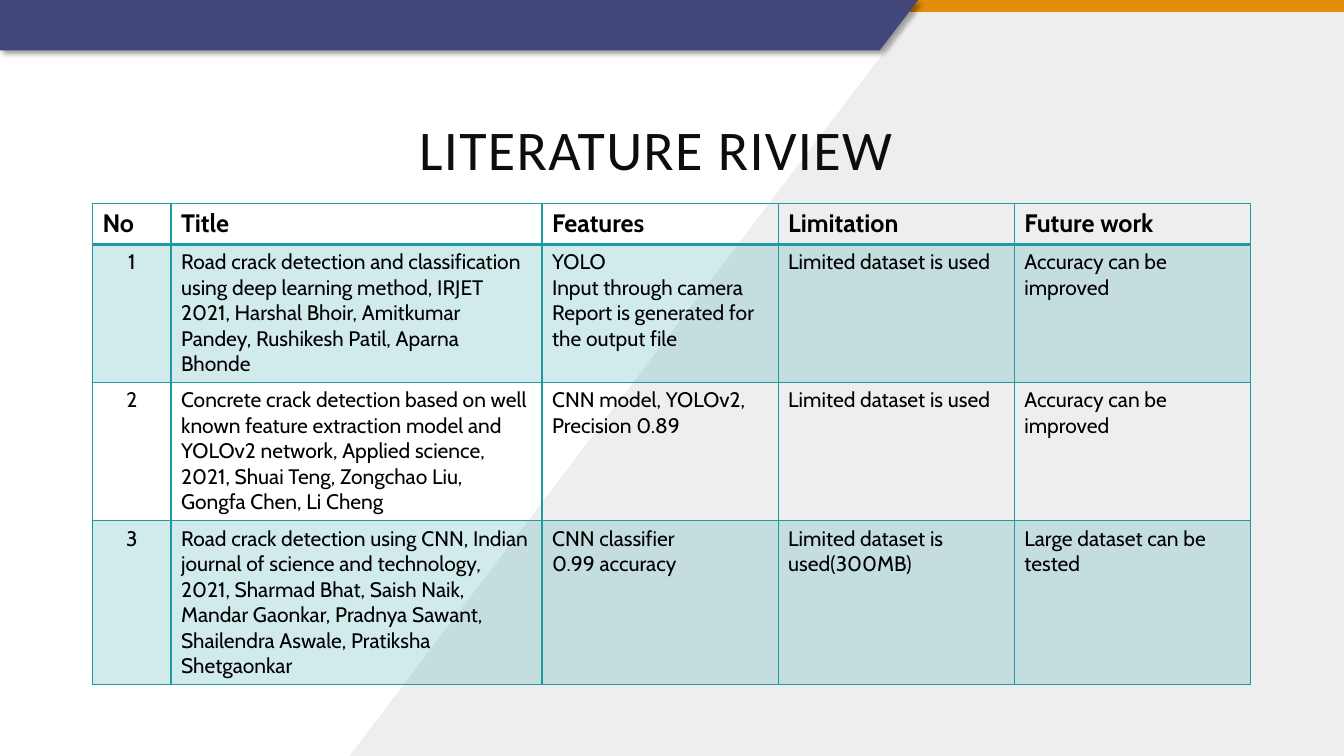
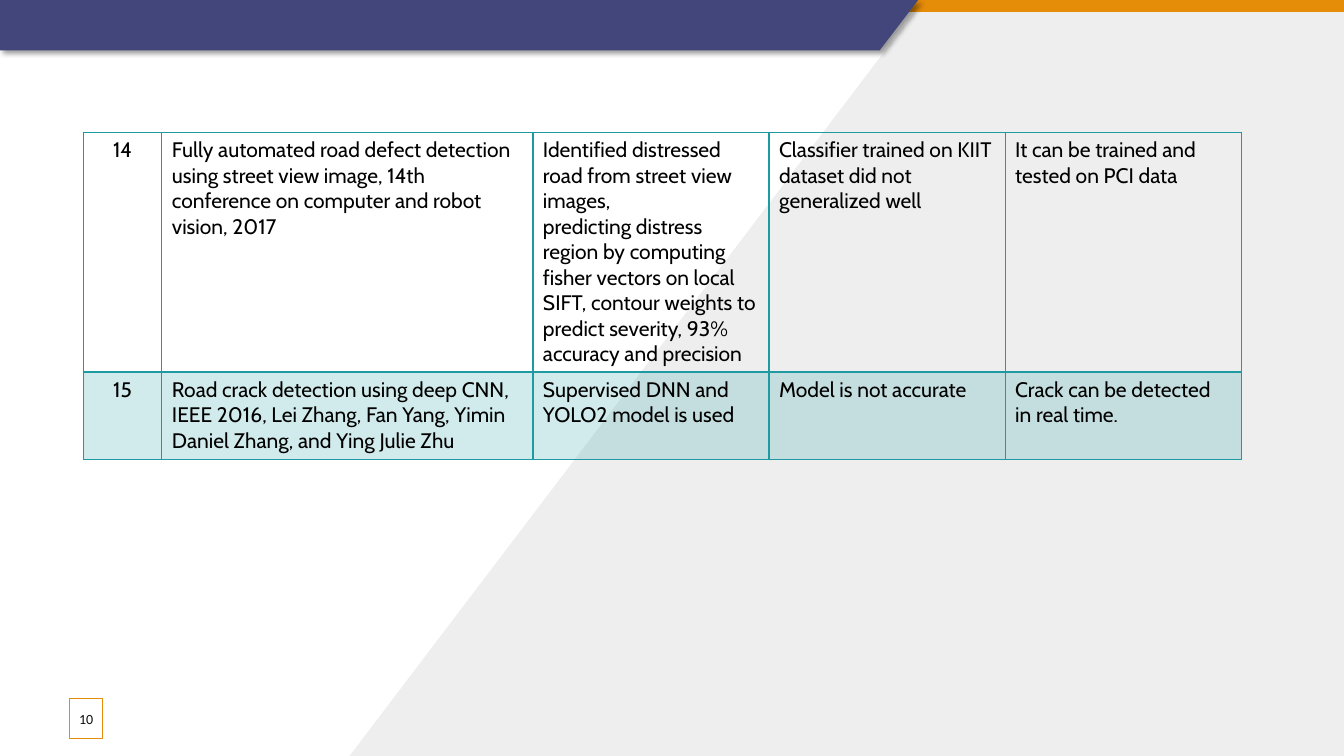
"""Build two literature review slides with a shared diagonal backdrop."""
from dataclasses import dataclass
from typing import Any

from lxml import etree
from pptx import Presentation
from pptx import util as u
from pptx.dml.color import RGBColor
from pptx.enum import shapes, text
from pptx.oxml import ns

COLOURS = {
    "paper": "FFFFFF",
    "diagonal": "EEEEEE",
    "strip": "E58C09",
    "band": "43467B",
    "teal": "1D9BA1",
    "ink": "0D0D0D",
    "black": "000000",
}
SLIDE_WIDTH, SLIDE_HEIGHT = 33.87, 19.05
COLUMN_WIDTHS = (1.98, 9.35, 5.95, 5.95, 5.95)

TITLE_FONT = {"name": "Calibri", "size": u.Pt(40), "bold": False}
NUMBER_FONT = {"name": "Calibri", "size": u.Pt(10), "bold": False}
HEADER_FONT = {"name": "Cabin", "size": u.Pt(18), "bold": True}
BODY_FONT = {"name": "Cabin", "size": u.Pt(15), "bold": False}
TITLE_FRAME = {"word_wrap": True, "auto_size": text.MSO_AUTO_SIZE.NONE,
               "vertical_anchor": text.MSO_ANCHOR.MIDDLE}
NUMBER_FRAME = {"word_wrap": True, "vertical_anchor": text.MSO_ANCHOR.MIDDLE,
                "margin_left": 0, "margin_right": 0,
                "margin_top": u.Cm(0.13), "margin_bottom": u.Cm(0.13)}


@dataclass(frozen=True)
class Panel:
    colour: str
    points: tuple[tuple[float, float], ...]
    shadow: bool = False


@dataclass(frozen=True)
class ReviewTable:
    left: float
    top: float
    row_heights: tuple[float, ...]
    rows: tuple[tuple[str, ...], ...]
    has_header: bool


PANELS = (
    Panel("diagonal", ((23.14, 0), (SLIDE_WIDTH, 0), (SLIDE_WIDTH, SLIDE_HEIGHT),
                       (8.81, SLIDE_HEIGHT), (23.14, 0.18))),
    Panel("strip", ((0, 0), (SLIDE_WIDTH, 0), (SLIDE_WIDTH, 0.3), (0, 0.3))),
    Panel("band", ((0, 0), (23.14, 0), (22.17, 1.27), (0, 1.27)), shadow=True),
)

FIRST_PAPERS = ReviewTable(2.33, 5.13, (1.03, 3.48, 3.48, 4.13), (
    ("No", "Title", "Features", "Limitation", "Future work"),
    ("1",
     "Road crack detection and classification using deep learning method, "
     "IRJET 2021, Harshal Bhoir, Amitkumar Pandey, Rushikesh Patil, Aparna Bhonde",
     "YOLO\nInput through camera\nReport is generated for the output file",
     "Limited dataset is used",
     "Accuracy can be improved"),
    ("2",
     "Concrete crack detection based on well known feature extraction model and "
     "YOLOv2 network, Applied science, 2021, Shuai Teng, Zongchao Liu, "
     "Gongfa Chen, Li Cheng",
     "CNN model, YOLOv2, Precision 0.89",
     "Limited dataset is used",
     "Accuracy can be improved"),
    ("3",
     "Road crack detection using CNN, Indian journal of science and technology, "
     "2021, Sharmad Bhat, Saish Naik, Mandar Gaonkar, Pradnya Sawant, "
     "Shailendra Aswale, Pratiksha Shetgaonkar",
     "CNN classifier\n0.99 accuracy",
     "Limited dataset is used(300MB)",
     "Large dataset can be tested"),
), has_header=True)

LAST_PAPERS = ReviewTable(2.1, 3.33, (6.02, 2.2), (
    ("14",
     "Fully automated road defect detection using street view image, "
     "14th conference on computer and robot vision, 2017",
     "Identified distressed road from street view images,\n"
     "predicting distress region by computing fisher vectors on local SIFT, "
     "contour weights to predict severity, 93% accuracy and precision",
     "Classifier trained on KIIT dataset did not generalized well",
     "It can be trained and tested on PCI data"),
    ("15",
     "Road crack detection using deep CNN,\n"
     "IEEE 2016, Lei Zhang, Fan Yang, Yimin Daniel Zhang, and Ying Julie Zhu",
     "Supervised DNN and YOLO2 model is used",
     "Model is not accurate",
     "Crack can be detected in real time."),
), has_header=False)


def rgb(name: str) -> RGBColor:
    return RGBColor.from_string(COLOURS[name])


def apply(target: Any, values: dict[str, Any]) -> None:
    for name, value in values.items():
        setattr(target, name, value)


def add_child(parent: Any, tag: str, **attributes: Any) -> Any:
    values = {name: str(value) for name, value in attributes.items()}
    return etree.SubElement(parent, ns.qn(tag), values)


def paint(fill: Any, colour: str) -> None:
    fill.solid()
    fill.fore_color.rgb = rgb(colour)


def set_alpha(properties: Any, percent: int) -> None:
    colour = properties.find(ns.qn("a:solidFill")).find(ns.qn("a:srgbClr"))
    add_child(colour, "a:alpha", val=percent * 1000)


def format_text(frame: Any, font: dict[str, Any], colour: str, alignment: Any) -> None:
    for paragraph in frame.paragraphs:
        paragraph.alignment = alignment
        for run in paragraph.runs:
            apply(run.font, font)
            run.font.color.rgb = rgb(colour)


def add_panel(slide: Any, panel: Panel) -> Any:
    points = [(u.Cm(x), u.Cm(y)) for x, y in panel.points]
    builder = slide.shapes.build_freeform(*points[0])
    builder.add_line_segments(points[1:], close=True)
    shape = builder.convert_to_shape()
    shape.shadow.inherit = False
    paint(shape.fill, panel.colour)
    shape.line.fill.background()
    if panel.shadow:
        effects = shape.element.spPr.find(ns.qn("a:effectLst"))
        shadow = add_child(effects, "a:outerShdw", blurRad=u.Pt(4), dist=u.Pt(3),
                           dir=45 * 60000, algn="tl", rotWithShape=0)
        colour = add_child(shadow, "a:srgbClr", val=COLOURS["black"])
        add_child(colour, "a:alpha", val=40000)
    return shape


def move_panels_to_master(presentation: Any, slide: Any) -> None:
    tree = presentation.slide_master.shapes.element
    for index, panel in enumerate(PANELS):
        element = add_panel(slide, panel).element
        element.nvSpPr.cNvPr.set("id", str(100 + index))
        tree.insert(2 + index, element)


def add_title(slide: Any, wording: str) -> None:
    title = slide.shapes.title
    apply(title, {"left": u.Cm(1.52), "top": u.Cm(2.74),
                  "width": u.Cm(30.02), "height": u.Cm(1.96)})
    title.text_frame.text = wording
    apply(title.text_frame, TITLE_FRAME)
    format_text(title.text_frame, TITLE_FONT, "ink", text.PP_ALIGN.CENTER)
    for run in title.text_frame.paragraphs[0].runs:
        run.font._element.set("spc", "100")


def add_borders(properties: Any, bottom_width: float) -> None:
    for side, width in (("L", 1), ("R", 1), ("T", 1), ("B", bottom_width)):
        line = add_child(properties, f"a:ln{side}", w=u.Pt(width))
        add_child(add_child(line, "a:solidFill"), "a:srgbClr", val=COLOURS["teal"])


def add_review_table(slide: Any, review: ReviewTable) -> None:
    frame = slide.shapes.add_table(
        len(review.rows), len(COLUMN_WIDTHS), u.Cm(review.left), u.Cm(review.top),
        u.Cm(sum(COLUMN_WIDTHS)), u.Cm(sum(review.row_heights)))
    table = frame.table
    apply(table, {"first_row": review.has_header, "horz_banding": False})
    for column, width in zip(table.columns, COLUMN_WIDTHS):
        column.width = u.Cm(width)
    for row_index, (height, wordings) in enumerate(zip(review.row_heights, review.rows)):
        table.rows[row_index].height = u.Cm(height)
        is_header = review.has_header and row_index == 0
        for column_index, wording in enumerate(wordings):
            cell = table.cell(row_index, column_index)
            cell.text = wording
            centred = column_index == 0 and not is_header
            format_text(cell.text_frame, HEADER_FONT if is_header else BODY_FONT, "black",
                        text.PP_ALIGN.CENTER if centred else text.PP_ALIGN.LEFT)
            properties = cell._tc.get_or_add_tcPr()
            add_borders(properties, 2 if row_index == 0 else 1)
            if row_index % 2:
                paint(cell.fill, "teal")
                set_alpha(properties, 20)
            else:
                cell.fill.background()


def add_page_number(slide: Any, number: str) -> None:
    shape = slide.shapes.add_shape(shapes.MSO_SHAPE.RECTANGLE, u.Cm(1.75), u.Cm(17.6),
                                   u.Cm(0.84), u.Cm(1.02))
    shape.shadow.inherit = False
    paint(shape.fill, "paper")
    set_alpha(shape.element.spPr, 82)
    shape.line.color.rgb = rgb("strip")
    shape.line.width = u.Pt(0.75)
    shape.text_frame.text = number
    apply(shape.text_frame, NUMBER_FRAME)
    format_text(shape.text_frame, NUMBER_FONT, "ink", text.PP_ALIGN.CENTER)


def main() -> None:
    presentation = Presentation()
    apply(presentation, {"slide_width": u.Cm(SLIDE_WIDTH),
                         "slide_height": u.Cm(SLIDE_HEIGHT)})
    paint(presentation.slide_master.background.fill, "paper")
    title_only, blank = (presentation.slide_layouts[index] for index in (5, 6))

    first_slide = presentation.slides.add_slide(title_only)
    move_panels_to_master(presentation, first_slide)
    add_title(first_slide, "LITERATURE RIVIEW")
    add_review_table(first_slide, FIRST_PAPERS)

    last_slide = presentation.slides.add_slide(blank)
    add_review_table(last_slide, LAST_PAPERS)
    add_page_number(last_slide, "10")

    presentation.save("out.pptx")


if __name__ == "__main__":
    main()
